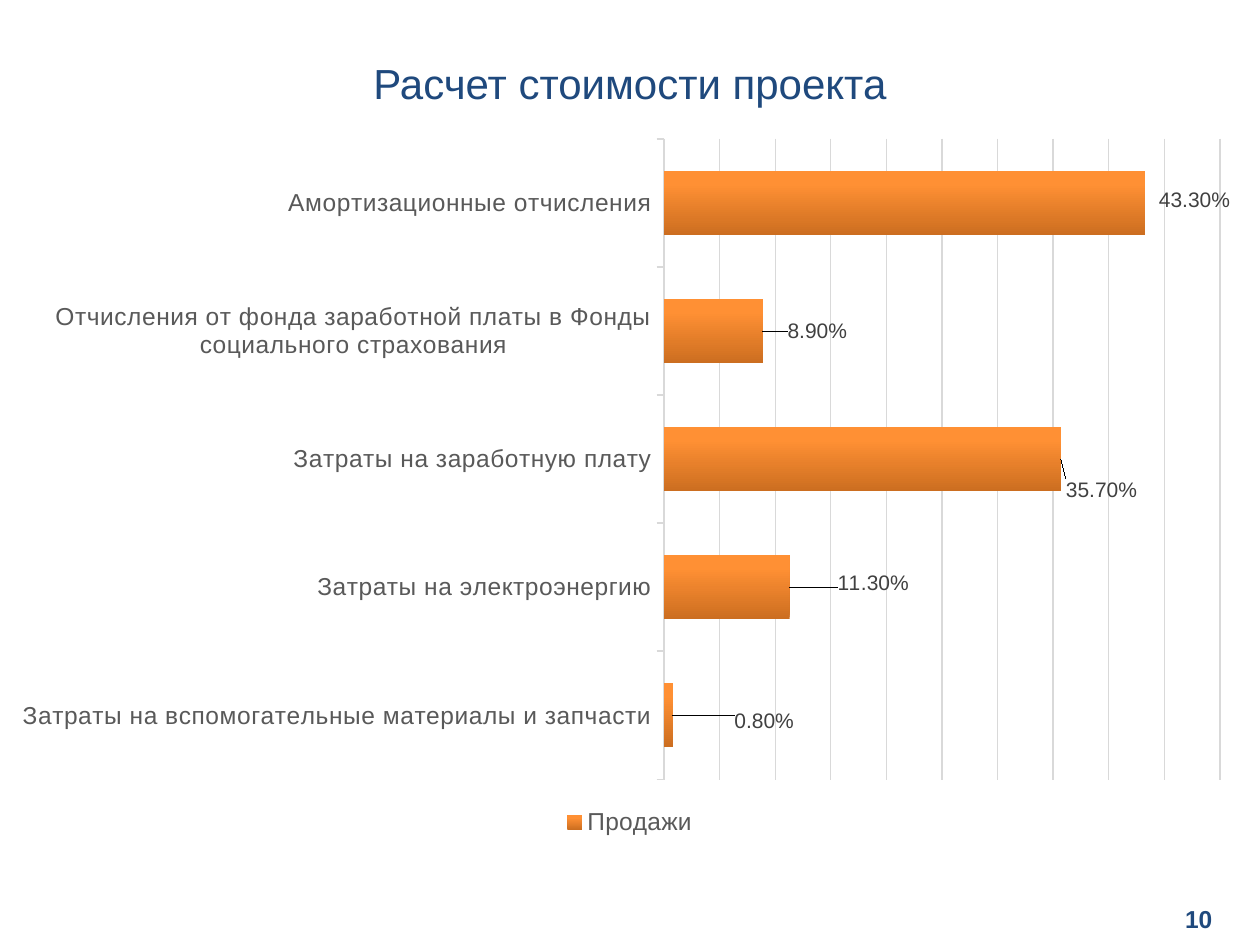
from lxml import etree
from pptx import Presentation, util as u
from pptx.chart.data import CategoryChartData
from pptx.dml.color import RGBColor
from pptx.enum import chart as ch, text
from pptx.oxml import parse_xml
from pptx.oxml.ns import nsdecls, qn

NAVY, GREY, LIGHT = "1F497D", "595959", "D9D9D9"
STOPS = [(0, "CC6E20"), (80, "FF9034"), (100, "FF9136")]
# category, share, label shift as fractions of the chart's width and height
COSTS = [
    ("Затраты на вспомогательные материалы и запчасти", 0.008, 0.046, 0.008),
    ("Затраты на электроэнергию", 0.113, 0.035, -0.006),
    ("Затраты на заработную плату", 0.357, 0, 0.043),
    ("Отчисления от фонда заработной платы в Фонды социального страхования",
     0.089, 0.016, 0),
    ("Амортизационные отчисления", 0.433, 0.007, -0.004),
]


def style(font, size, color, bold=False):
    font.name, font.size, font.bold = "Arial", u.Pt(size), bold
    font.color.rgb = RGBColor.from_string(color)


def manual_layout(**values):
    """Return a c:layout element; the values are given in schema order."""
    layout = parse_xml(f"<c:layout {nsdecls('c')}><c:manualLayout/></c:layout>")
    for name, value in values.items():
        etree.SubElement(layout[0], qn(f"c:{name}")).set("val", str(value))
    return layout


prs = Presentation()
prs.slide_width, prs.slide_height = u.Cm(25.4), u.Cm(19.05)
s = prs.slides.add_slide(prs.slide_layouts[6])

# Page number and title
for words, box, size, bold, align in [
    ("10", (18.77, 18.01, 5.92, 1.02), 14, True, text.PP_ALIGN.RIGHT),
    ("Расчет стоимости проекта", (0, 1.04, 25.4, 1.27), 24, False,
     text.PP_ALIGN.CENTER),
]:
    tf = s.shapes.add_textbox(*map(u.Cm, box)).text_frame
    tf.word_wrap = True
    tf.vertical_anchor = text.MSO_ANCHOR.MIDDLE
    p = tf.paragraphs[0]
    p.text, p.alignment = words, align
    style(p.font, size, NAVY, bold)

# Cost chart
data = CategoryChartData(number_format="0.00%")
data.categories = [cost[0] for cost in COSTS]
data.add_series("Продажи", [cost[1] for cost in COSTS])
chart = s.shapes.add_chart(ch.XL_CHART_TYPE.BAR_CLUSTERED, u.Cm(0.3), u.Cm(2.51),
                           u.Cm(24.79), u.Cm(14.45), data).chart
chart.has_title = False
chart.font.name, chart.font.size = "Calibri", u.Pt(10)
chart.has_legend = True
chart.legend.position = ch.XL_LEGEND_POSITION.BOTTOM
chart.legend.include_in_layout = False
style(chart.legend.font, 14, GREY)

plot_area = chart._chartSpace.chart.plotArea
for old in plot_area.findall(qn("c:layout")):
    plot_area.remove(old)
plot_area.insert(0, manual_layout(layoutTarget="inner", xMode="edge", yMode="edge",
                                  x=0.528, y=0.02, w=0.452, h=0.894))

cat = chart.category_axis
cat.major_tick_mark = ch.XL_TICK_MARK.OUTSIDE
cat.format.line.color.rgb = RGBColor.from_string(LIGHT)
cat.format.line.width = u.Pt(1)
style(cat.tick_labels.font, 14, GREY)
cat._element.find(".//" + qn("a:defRPr")).set("spc", "20")

val = chart.value_axis
val.visible = False
val.minimum_scale, val.maximum_scale, val.major_unit = 0, 0.5, 0.05
val.tick_labels.number_format = "0.00%"
val.tick_labels.number_format_is_linked = False
grid = val.major_gridlines.format.line
grid.color.rgb = RGBColor.from_string(LIGHT)
grid.width = u.Pt(0.75)

plot = chart.plots[0]
plot.gap_width = 100
plot.vary_by_categories = False
series = plot.series[0]
stops = "".join(f'<a:gs pos="{pos * 1000}"><a:srgbClr val="{color}"/></a:gs>'
                for pos, color in STOPS)
series.format.fill.background()
bar_fill = series._element.spPr.find(qn("a:noFill"))
series._element.spPr.replace(bar_fill, parse_xml(
    f"<a:gradFill {nsdecls('a')}><a:gsLst>{stops}</a:gsLst>"
    '<a:lin ang="16200000" scaled="0"/></a:gradFill>'))

labels = series.data_labels
labels.show_value = True
labels.number_format, labels.number_format_is_linked = "0.00%", False
labels.position = ch.XL_LABEL_POSITION.OUTSIDE_END
style(labels.font, 12, "404040")
for i, (_, _, dx, dy) in enumerate(COSTS):
    label = series.points[i].data_label
    style(label.font, 12, "404040")
    label.position = ch.XL_LABEL_POSITION.OUTSIDE_END
    labels._element.findall(qn("c:dLbl"))[i].insert(1, manual_layout(x=dx, y=dy))

prs.save("out.pptx")
